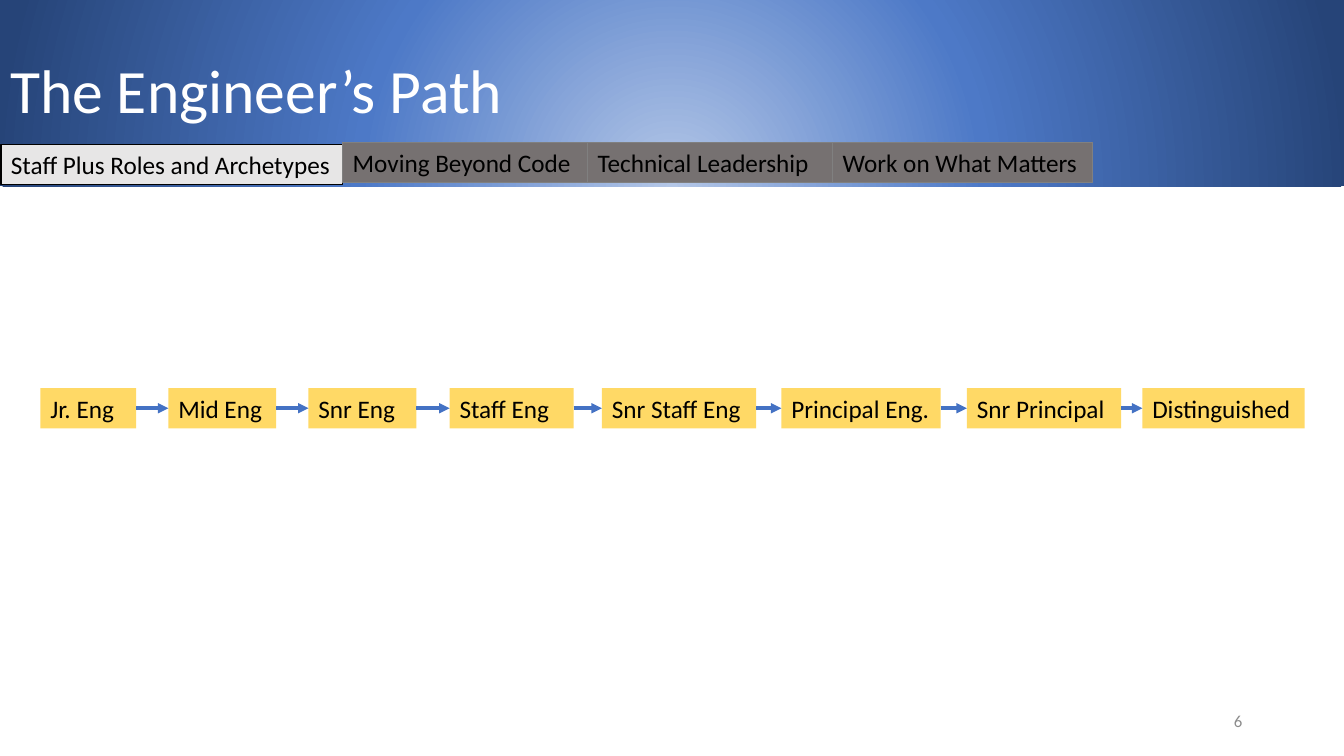
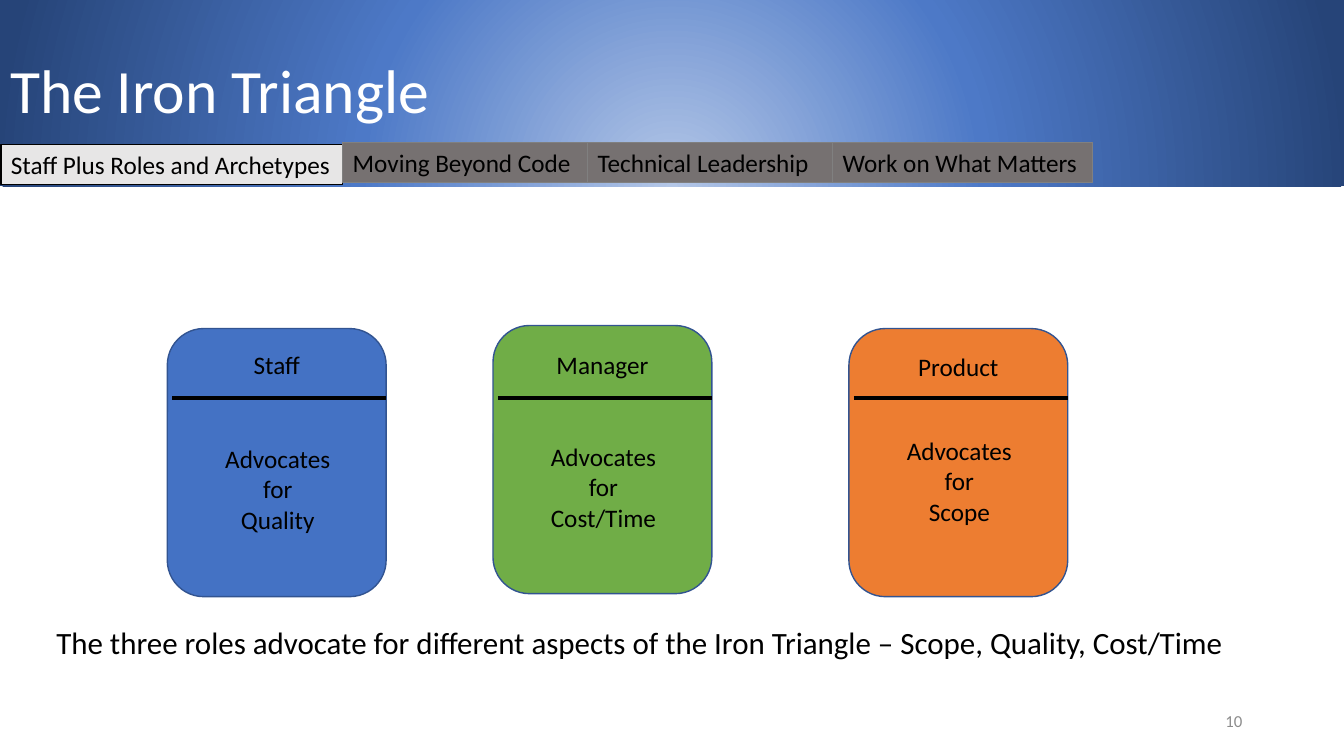
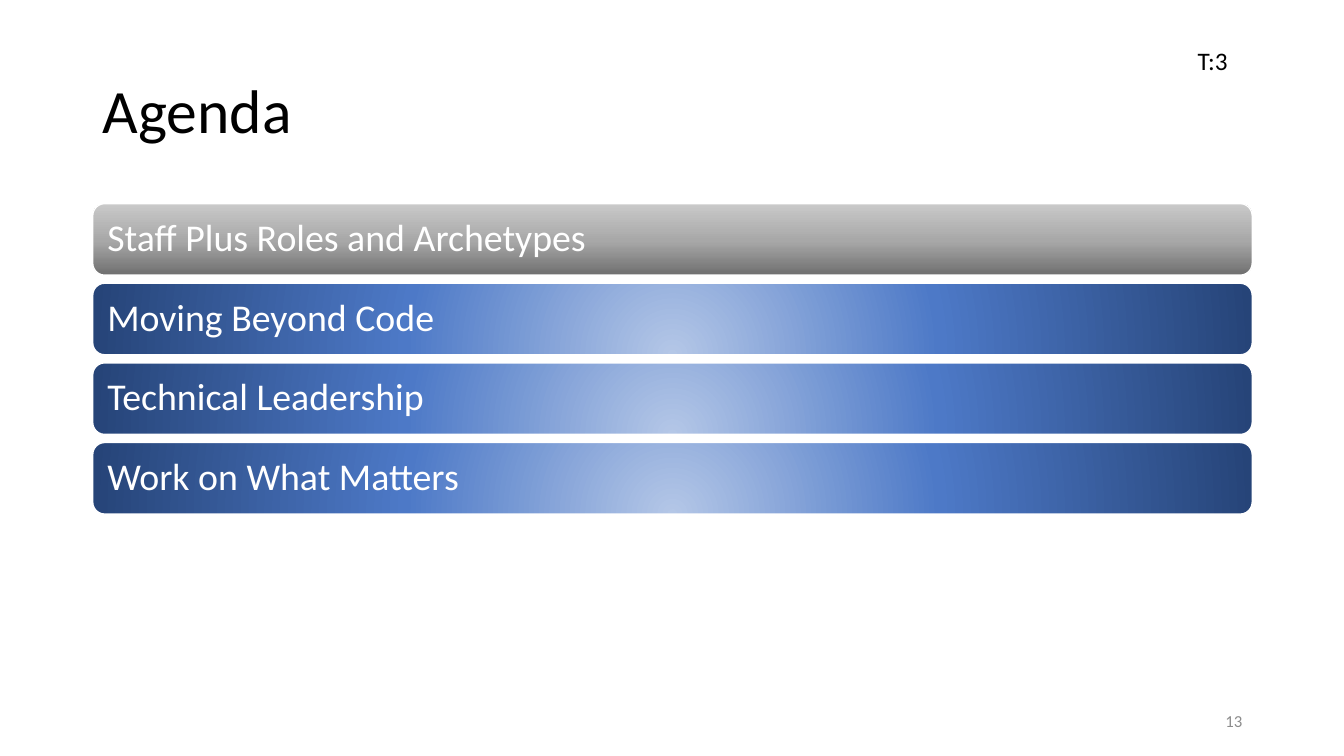
"""Build three slides on the path, roles and agenda of staff engineers."""
from dataclasses import dataclass

from pptx import Presentation
from pptx.dml.color import RGBColor
from pptx.enum import shapes, text
from pptx.oxml import parse_xml
from pptx.oxml.ns import nsdecls, qn
from pptx.util import Inches, Pt


@dataclass(frozen=True)
class Theme:
    """Hold the colours, type sizes and gradients that the slides share."""
    font: str = "Calibri"
    ink: str = "000000"
    paper: str = "FFFFFF"
    muted: str = "8C8C8C"
    live: str = "E7E6E6"
    idle: str = "767171"
    edge: str = "808080"
    step: str = "FFD966"
    blue: str = "4472C4"
    green: str = "70AD47"
    orange: str = "ED7D31"
    rim: str = "325491"
    title: float = 44
    item: float = 27
    note: float = 22.1
    body: float = 18
    foot: float = 12
    glow: tuple = ((0, "B4C7E7"), (46, "4D79C7"), (100, "264478"))
    steel: tuple = ((0, "6F6F6F"), (48, "A8A8A8"), (100, "C9C9C9"))
    round: str = ('<a:path path="circle"><a:fillToRect l="50000" t="130000" '
                  'r="50000" b="-30000"/></a:path>')
    upward: str = '<a:lin ang="16200000" scaled="0"/>'


T = Theme()
ALIGN = text.PP_ALIGN
MIDDLE = text.MSO_ANCHOR.MIDDLE
TOPICS = (("Staff Plus Roles and Archetypes", 3.39), ("Moving Beyond Code", 2.43),
          ("Technical Leadership", 2.43), ("Work on What Matters", 2.58))
STEPS = (("Jr. Eng", 0.4, 0.95), ("Mid Eng", 1.67, 1.07), ("Snr Eng", 3.06, 1.07),
         ("Staff Eng", 4.46, 1.23), ("Snr Staff Eng", 5.97, 1.53),
         ("Principal Eng.", 7.75, 1.58), ("Snr Principal", 9.59, 1.53),
         ("Distinguished", 11.33, 1.61))
ROLES = (("Staff", "Quality", T.blue, 1.66, 3.26, 3.42, 4.35),
         ("Manager", "Cost/Time", T.green, 4.89, 3.23, 3.42, 4.33),
         ("Product", "Scope", T.orange, 8.42, 3.26, 3.44, 4.27))


def rgb(code):
    """Turn a hex code into a colour."""
    return RGBColor.from_string(code)


def place(shape, left, top, width, height):
    """Move and size a shape in inches."""
    shape.left, shape.top = Inches(left), Inches(top)
    shape.width, shape.height = Inches(width), Inches(height)


def write(shape, words, size=T.body, color=T.ink, align=ALIGN.LEFT, space=None):
    """Put text in a shape and format its runs."""
    frame = shape.text_frame
    frame.text = words
    frame.word_wrap = True
    for para in frame.paragraphs:
        para.alignment = align
        para.line_spacing = space
        for run in para.runs:
            run.font.name, run.font.size = T.font, Pt(size)
            run.font.color.rgb = rgb(color)
    return frame


def paint(shape, fill, line=None, width=0.75):
    """Give a shape a plain fill and an optional outline."""
    shape.fill.solid()
    shape.fill.fore_color.rgb = rgb(fill)
    if line:
        shape.line.color.rgb = rgb(line)
        shape.line.width = Pt(width)


def blend(shape, stops, path):
    """Give a shape a gradient fill."""
    marks = "".join(f'<a:gs pos="{pos * 1000}"><a:srgbClr val="{code}"/></a:gs>'
                    for pos, code in stops)
    shape.fill.background()
    props = shape.element.spPr
    props.replace(props.find(qn("a:noFill")), parse_xml(
        f'<a:gradFill {nsdecls("a")} rotWithShape="1">'
        f'<a:gsLst>{marks}</a:gsLst>{path}</a:gradFill>'))


def label(slide, words, left, top, width, height=0.4, **style):
    """Add a text box."""
    box = slide.shapes.add_textbox(0, 0, 0, 0)
    place(box, left, top, width, height)
    write(box, words, **style)
    return box


def panel(slide, left, top, width, height):
    """Add a rounded box without a shadow."""
    box = slide.shapes.add_shape(shapes.MSO_SHAPE.ROUNDED_RECTANGLE, 0, 0, 0, 0)
    place(box, left, top, width, height)
    box.shadow.inherit = False
    return box


def rule(slide, start, end, top, color, width, arrow=False):
    """Add a level line, with an arrowhead if asked."""
    line = slide.shapes.add_connector(shapes.MSO_CONNECTOR.STRAIGHT, Inches(start),
                                      Inches(top), Inches(end), Inches(top))
    line.line.color.rgb = rgb(color)
    line.line.width = Pt(width)
    if arrow:
        line.line._get_or_add_ln().append(
            parse_xml(f'<a:tailEnd {nsdecls("a")} type="triangle"/>'))
    line.element.spPr.append(parse_xml(f'<a:effectLst {nsdecls("a")}/>'))


def start(deck, title, number, color, *spot):
    """Add a slide with its title and number."""
    slide = deck.slides.add_slide(deck.slide_layouts[5])
    head = slide.shapes.title
    place(head, *spot)
    frame = write(head, title, T.title, color, space=0.9)
    frame.auto_size = text.MSO_AUTO_SIZE.NONE
    frame.vertical_anchor = MIDDLE
    foot = label(slide, str(number), 9.42, 6.95, 3, size=T.foot, color=T.muted,
                 align=ALIGN.RIGHT)
    foot.text_frame.vertical_anchor = MIDDLE
    return slide


def topic(deck, title, number):
    """Add a slide with the title band and topic tabs."""
    slide = start(deck, title, number, T.paper, 0, 0, 13.33, 1.85)
    blend(slide.shapes.title, T.glow, T.round)
    left = 0.01
    for pos, (name, width) in enumerate(TOPICS):
        tab = label(slide, name, left, 1.41 if pos else 1.43, width)
        paint(tab, *((T.idle, T.edge) if pos else (T.live, T.ink)))
        left += width
    return slide


def ladder(slide):
    """Draw the career steps and the arrows between them."""
    for name, left, width in STEPS:
        paint(label(slide, name, left, 3.85, width), T.step)
    for (_, left, width), (_, after, _) in zip(STEPS, STEPS[1:]):
        rule(slide, left + width, after, 4.05, T.blue, 2.5, True)


def card(slide, role, aim, color, left, top, head, body):
    """Draw one role with what it advocates for."""
    width = 2.17
    paint(panel(slide, left, top, width, 2.66), color, T.rim, 1)
    label(slide, role, left + 0.48, head, 1.21, align=ALIGN.CENTER)
    rule(slide, left + 0.05, left + width, 3.95, T.ink, 3)
    label(slide, f"Advocates for\n{aim}", left + 0.46, body, 1.27, 1.01,
          align=ALIGN.CENTER)


def agenda(slide):
    """Draw a bar for each topic, the finished one in grey."""
    for pos, (name, _) in enumerate(TOPICS):
        bar = panel(slide, 0.92, 2.02 + 0.79 * pos, 11.5, 0.71)
        blend(bar, *((T.glow, T.round) if pos else (T.steel, T.upward)))
        bar.line.color.rgb = rgb(T.paper)
        bar.line.width = Pt(1)
        frame = write(bar, name, T.item, T.paper, space=0.9)
        frame.vertical_anchor = MIDDLE
        frame.margin_left = frame.margin_right = Inches(0.11)


def main():
    """Build and save the slides."""
    deck = Presentation()
    deck.slide_width, deck.slide_height = Inches(13.33), Inches(7.5)

    ladder(topic(deck, "The Engineer’s Path", 6))

    slide = topic(deck, "The Iron Triangle", 10)
    for role in ROLES:
        card(slide, *role)
    note = label(slide, "The three roles advocate for different aspects of the Iron "
                 "Triangle – Scope, Quality, Cost/Time", 0.46, 6.21, 12.05, 0.59,
                 size=T.note, space=0.8)
    note.text_frame.paragraphs[0].space_before = Pt(10)

    slide = start(deck, "Agenda", 13, T.ink, 0.92, 0.4, 11.5, 1.45)
    agenda(slide)
    label(slide, "T:3", 11.78, 0.4, 0.5).text_frame.word_wrap = False

    deck.save("out.pptx")


if __name__ == "__main__":
    main()
